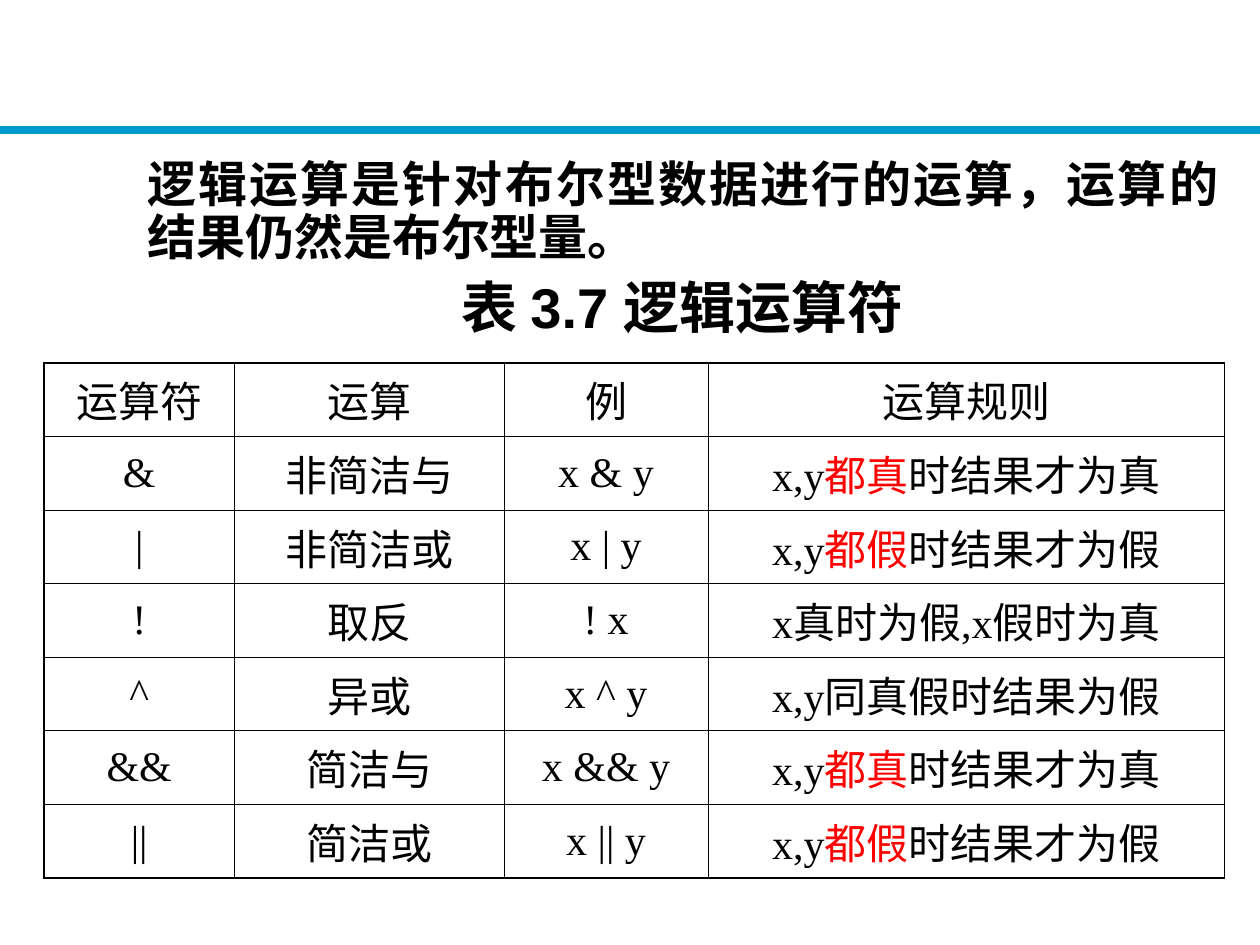
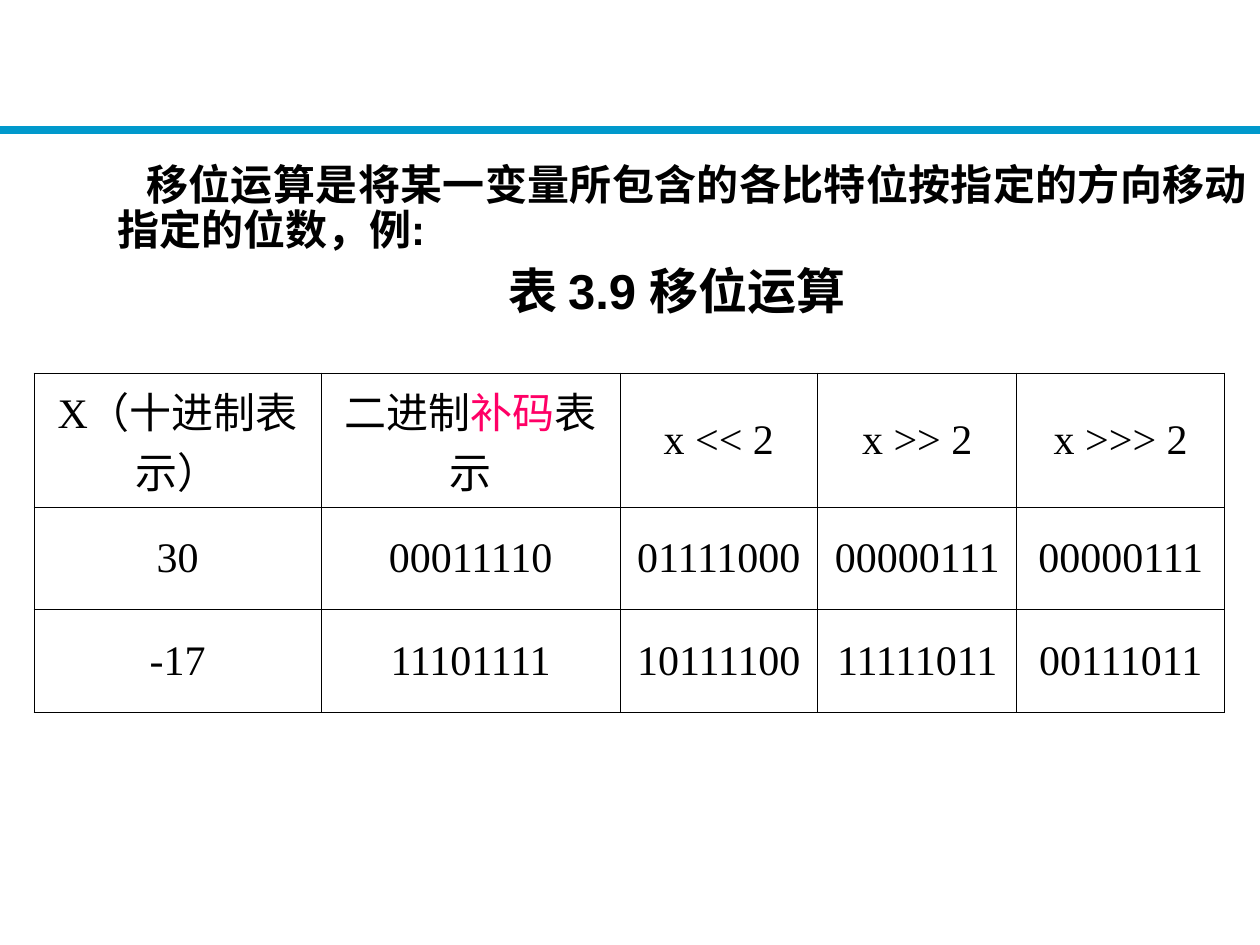
from lxml import etree
from pptx import Presentation
from pptx.dml.color import RGBColor
from pptx.enum.shapes import MSO_CONNECTOR
from pptx.enum.text import MSO_ANCHOR, MSO_AUTO_SIZE, PP_ALIGN
from pptx.oxml.ns import qn
from pptx.util import Inches, Pt

LINE = MSO_CONNECTOR.STRAIGHT
MIDDLE, TOP = MSO_ANCHOR.MIDDLE, MSO_ANCHOR.TOP
FIXED = MSO_AUTO_SIZE.NONE
CENTER, JUSTIFY = PP_ALIGN.CENTER, PP_ALIGN.JUSTIFY

COLS, ROWS = 100, 75
BLACK, BAND, RED, PINK = "000000", "0099CC", "FF0000", "FF0066"
HEAD_FONT, CELL_FONT = "Arial", "Times New Roman"
THIN = 0.34

LOGIC = [
    ["运算符", "运算", "例", "运算规则"],
    ["&", "非简洁与", "x & y", "x,y*都真*时结果才为真"],
    ["|", "非简洁或", "x | y", "x,y*都假*时结果才为假"],
    ["!", "取反", "! x", "x真时为假,x假时为真"],
    ["^", "异或", "x ^ y", "x,y同真假时结果为假"],
    ["&&", "简洁与", "x && y", "x,y*都真*时结果才为真"],
    ["||", "简洁或", "x || y", "x,y*都假*时结果才为假"],
]
SHIFT = [
    ["X（十进制表示）", "二进制*补码*表示", "x << 2", "x >> 2", "x >>> 2"],
    ["30", "00011110", "01111000", "00000111", "00000111"],
    ["-17", "11101111", "10111100", "11111011", "00111011"],
]


def grid(*units):
    """Turn grid units into slide lengths."""
    return [Inches(unit / 10) for unit in units]


def color(code):
    """Turn a hex string into a colour."""
    return RGBColor.from_string(code)


def write(para, text, font=HEAD_FONT, size=24, bold=False, align=CENTER,
          accent=RED, space=None, before=None):
    """Fill a paragraph, with the parts between stars in the accent colour."""
    para.alignment = align
    para.line_spacing = space
    para.space_before = Pt(before or 0)
    for index, part in enumerate(text.split("*")):
        run = para.add_run()
        run.text = part
        run.font.name, run.font.size, run.font.bold = font, Pt(size), bold
        run.font.color.rgb = color(accent if index % 2 else BLACK)


def add_band(slide):
    """Draw the blue line below the head of the slide."""
    x1, y1, x2, y2 = grid(0, 10.3, COLS, 10.3)
    band = slide.shapes.add_connector(LINE, x1, y1, x2, y2)
    band.line.color.rgb = color(BAND)
    band.line.width = Pt(4.5)
    etree.SubElement(band.element.spPr, qn("a:effectLst"))


def add_slide(deck):
    """Add a slide that has the band and a body but no title."""
    slide = deck.slides.add_slide(deck.slide_layouts[0])
    title = slide.shapes.title.element
    title.getparent().remove(title)
    add_band(slide)
    return slide


def add_intro(slide, place, text, label, size, indent=0):
    """Put the opening text and the table's label in the body."""
    body = slide.placeholders[1]
    body.left, body.top, body.width, body.height = grid(*place)
    frame = body.text_frame
    frame.word_wrap, frame.auto_size = True, FIXED
    frame.vertical_anchor = TOP
    first = frame.paragraphs[0]
    first._p.get_or_add_pPr().set("indent", str(grid(indent)[0]))
    write(first, text, size=size, bold=True, align=JUSTIFY, space=0.9)
    write(frame.add_paragraph(), label, size=size + 4, bold=True,
          space=0.9, before=size / 4 + 1)


def add_edge(cell, side, width):
    """Draw one border of a cell."""
    line = etree.SubElement(cell._tc.get_or_add_tcPr(), qn(f"a:ln{side}"),
                            w=str(Pt(width)))
    fill = etree.SubElement(line, qn("a:solidFill"))
    etree.SubElement(fill, qn("a:srgbClr"), val=BLACK)


def add_table(slide, left, top, widths, heights, data, rim, accent):
    """Add a plain ruled table with a rim of its own width."""
    high, wide = len(heights), len(widths)
    place = grid(left, top, sum(widths), sum(heights))
    table = slide.shapes.add_table(high, wide, *place).table
    table.first_row = table.horz_banding = False
    for column, width in zip(table.columns, grid(*widths)):
        column.width = width
    for row, height in zip(table.rows, grid(*heights)):
        row.height = height
    for r, texts in enumerate(data):
        for c, text in enumerate(texts):
            cell = table.cell(r, c)
            cell.vertical_anchor = MIDDLE
            write(cell.text_frame.paragraphs[0], text, font=CELL_FONT,
                  accent=accent)
            outer = {"L": c == 0, "R": c == wide - 1,
                     "T": r == 0, "B": r == high - 1}
            for side, is_rim in outer.items():
                add_edge(cell, side, rim if is_rim else THIN)
            cell.fill.background()


def main():
    """Build both slides and save them."""
    deck = Presentation()
    deck.slide_width, deck.slide_height = grid(COLS, ROWS)

    logic = add_slide(deck)
    add_intro(logic, (10.7, 12.2, 87, 16),
              "逻辑运算是针对布尔型数据进行的运算，运算的结果仍然是布尔型量。",
              "表 3.7 逻辑运算符", 28)
    add_table(logic, 3.5, 28.8, [15.1, 21.4, 16.2, 41], [5.84] * 7,
              LOGIC, 1.08, RED)

    shift = add_slide(deck)
    add_intro(shift, (8.3, 12.5, 91.7, 14.8),
              "移位运算是将某一变量所包含的各比特位按指定的方向移动指定的位数，例:",
              "表 3.9 移位运算 ", 24, indent=2.3)
    add_table(shift, 2.7, 29.6, [22.8, 23.7, 15.7, 15.8, 16.5], [9, 8.1, 8.2],
              SHIFT, 0.45, PINK)

    deck.save("out.pptx")


if __name__ == "__main__":
    main()
